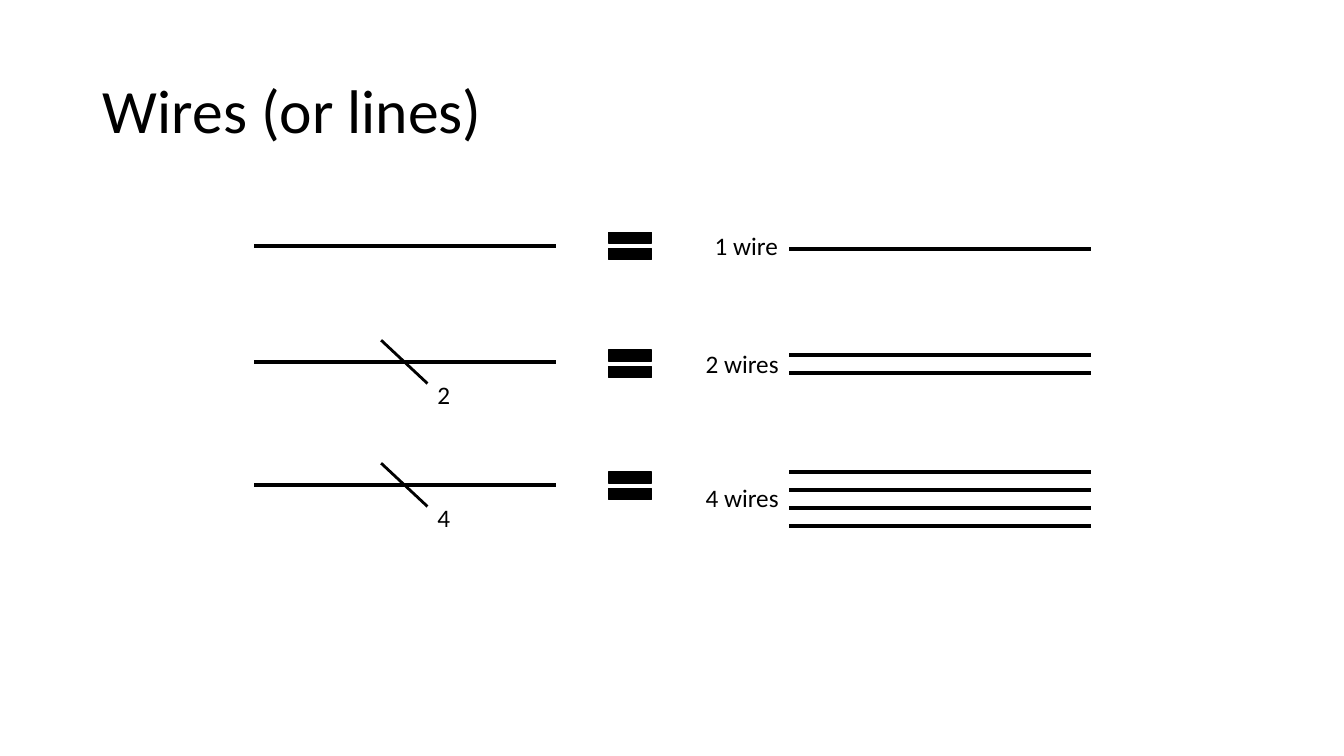
from dataclasses import dataclass

from lxml.etree import SubElement
from pptx import Presentation
from pptx.dml.color import RGBColor
from pptx.enum.shapes import MSO_CONNECTOR, MSO_SHAPE
from pptx.enum.text import MSO_ANCHOR, MSO_AUTO_SIZE, PP_ALIGN
from pptx.oxml.ns import qn
from pptx.util import Inches, Pt

TITLE = "Wires (or lines)"
# y: bus line; equal_y: top of equal sign; label_y: top of label; wire_y: first wire
ROWS = [
    dict(count=1, label="1 wire", label_w=0.84, y=2.44, equal_y=2.21, label_y=2.24, wire_y=2.47),
    dict(count=2, label="2 wires", label_w=0.93, y=3.59, equal_y=3.38, label_y=3.41, wire_y=3.52),
    dict(count=4, label="4 wires", label_w=0.93, y=4.81, equal_y=4.59, label_y=4.74, wire_y=4.68),
]

BUS_X, WIRES_X, WIRE_LENGTH = 2.52, 7.83, 2.99
WIRE_GAP = 0.18
SLASH_X, SLASH_W, SLASH_H = 3.78, 0.46, 0.43
EQUAL_X, EQUAL_W, EQUAL_H = 5.96, 0.58, 0.46
COUNT_W, COUNT_DROP, TEXT_H = 0.33, 0.12, 0.4


@dataclass(frozen=True)
class Theme:
    font: str = "Calibri"
    ink: RGBColor = RGBColor(0, 0, 0)
    title: Pt = Pt(44)
    label: Pt = Pt(18)
    wire: Pt = Pt(3)
    slash: Pt = Pt(2)
    outline: Pt = Pt(1)


THEME = Theme()


def style_font(p, size):
    p.font.name, p.font.size = THEME.font, size
    p.font.color.rgb = THEME.ink


def add_line(shapes, x1, y1, x2, y2, width):
    line = shapes.add_connector(MSO_CONNECTOR.STRAIGHT, *map(Inches, (x1, y1, x2, y2)))
    line.line.color.rgb = THEME.ink
    line.line.width = width
    SubElement(line._element.spPr, qn("a:effectLst"))


def add_wire(shapes, x, y):
    add_line(shapes, x, y, x + WIRE_LENGTH, y, THEME.wire)


def add_label(shapes, text, x, y, w):
    tf = shapes.add_textbox(*map(Inches, (x, y, w, TEXT_H))).text_frame
    tf.word_wrap = False
    tf.auto_size = MSO_AUTO_SIZE.SHAPE_TO_FIT_TEXT
    tf.text = text
    style_font(tf.paragraphs[0], THEME.label)


def add_equal_sign(shapes, y):
    sp = shapes.add_shape(MSO_SHAPE.MATH_EQUAL, *map(Inches, (EQUAL_X, y, EQUAL_W, EQUAL_H)))
    sp.shadow.inherit = False
    sp.fill.solid()
    sp.fill.fore_color.rgb = sp.line.color.rgb = THEME.ink
    sp.line.width = THEME.outline


def add_slash(shapes, count, y):
    """Cross the bus line with a slash and write its wire count below."""
    top, right = y - SLASH_H / 2, SLASH_X + SLASH_W
    add_line(shapes, SLASH_X, top, right, top + SLASH_H, THEME.slash)
    add_label(shapes, str(count), right, y + COUNT_DROP, COUNT_W)


def add_row(slide, row):
    shapes = slide.shapes.add_group_shape().shapes
    add_wire(shapes, BUS_X, row["y"])
    if row["count"] > 1:
        add_slash(shapes, row["count"], row["y"])
    add_equal_sign(shapes, row["equal_y"])
    add_label(shapes, row["label"], WIRES_X - row["label_w"], row["label_y"], row["label_w"])
    for i in range(row["count"]):
        add_wire(shapes, WIRES_X, row["wire_y"] + i * WIRE_GAP)


def add_title(slide):
    title = slide.shapes.title
    title.left, title.top, title.width, title.height = map(Inches, (0.92, 0.4, 11.5, 1.45))
    tf = title.text_frame
    tf.text = TITLE
    tf.vertical_anchor = MSO_ANCHOR.MIDDLE
    p = tf.paragraphs[0]
    p.alignment, p.line_spacing = PP_ALIGN.LEFT, 0.9
    style_font(p, THEME.title)


def main():
    prs = Presentation()
    prs.slide_width, prs.slide_height = Inches(13.33), Inches(7.5)
    slide = prs.slides.add_slide(prs.slide_layouts.get_by_name("Title Only"))
    add_title(slide)
    for row in ROWS:
        add_row(slide, row)
    prs.save("out.pptx")


if __name__ == "__main__":
    main()
